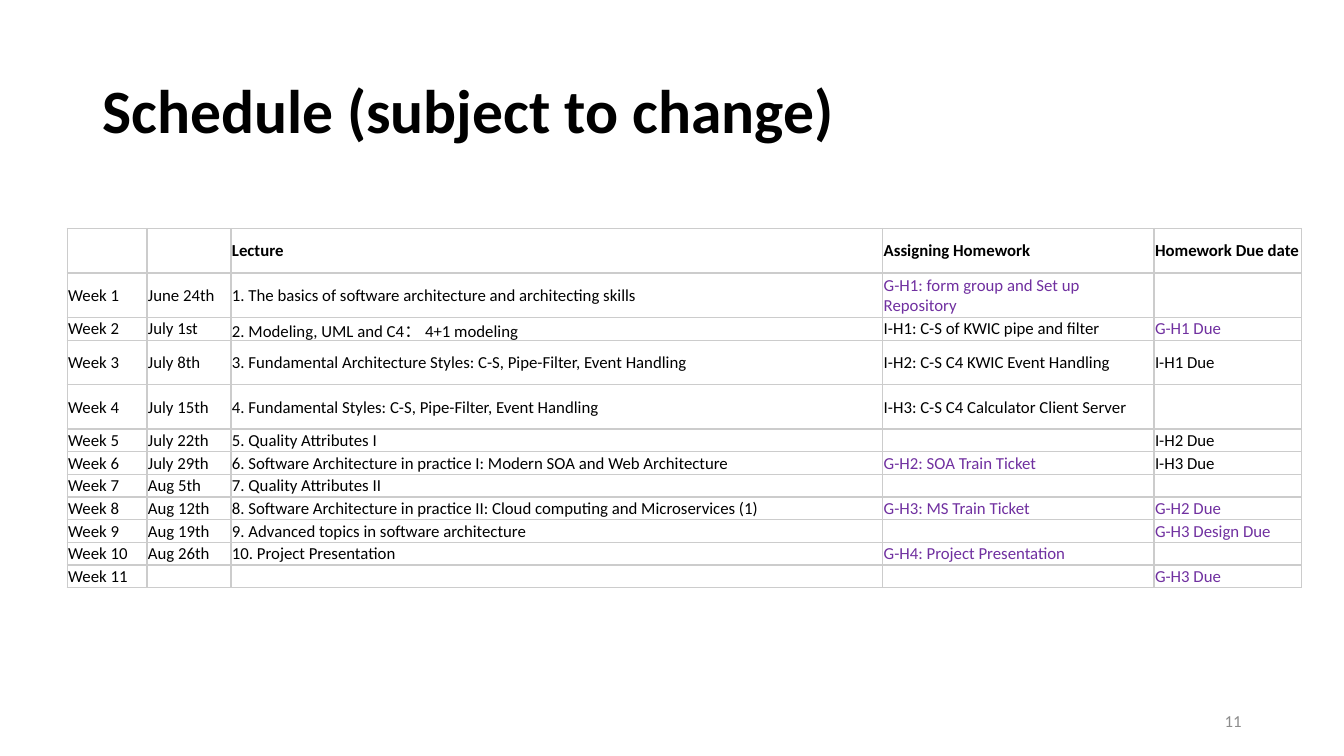
from lxml import etree
from pptx import Presentation
from pptx import util as u
from pptx.dml.color import RGBColor
from pptx.enum import text
from pptx.oxml import ns

BLACK = RGBColor(0x00, 0x00, 0x00)
PURPLE = RGBColor(0x70, 0x30, 0xA0)
GREY = RGBColor(0x8C, 0x8C, 0x8C)
BORDER = RGBColor(0xCC, 0xCC, 0xCC)
FONT = "Calibri"
BODY_SIZE = 12
WIDTH, HEIGHT = u.Inches(13.333), u.Inches(7.5)
COLUMNS, ROWS = 160, 90
SCHEDULE_COLUMNS = (9.5, 10, 77.6, 32.3, 17.6)
SHORT_ROW, TALL_ROW = 2.7, 5.3
TALL_ROWS = {0, 1, 3, 4}
HEADINGS = ("", "", "Lecture", "Assigning Homework", "Homework Due date")
WEEKS = (
    ("June 24th", "The basics of software architecture and architecting skills",
     "G-H1: form group and Set up Repository", ""),
    ("July 1st", "Modeling, UML and C4： 4+1 modeling",
     "I-H1: C-S of KWIC pipe and filter", "G-H1 Due"),
    ("July 8th", "Fundamental Architecture Styles: C-S, Pipe-Filter, Event Handling",
     "I-H2: C-S C4 KWIC Event Handling", "I-H1 Due"),
    ("July 15th", "Fundamental Styles: C-S, Pipe-Filter, Event Handling",
     "I-H3: C-S C4 Calculator Client Server", ""),
    ("July 22th", "Quality Attributes I", "", "I-H2 Due"),
    ("July 29th", "Software Architecture in practice I: Modern SOA and Web Architecture",
     "G-H2: SOA Train Ticket", "I-H3 Due"),
    ("Aug 5th", "Quality Attributes II", "", ""),
    ("Aug 12th", "Software Architecture in practice II: Cloud computing and Microservices (1)",
     "G-H3: MS Train Ticket", "G-H2 Due"),
    ("Aug 19th", "Advanced topics in software architecture", "", "G-H3 Design Due"),
    ("Aug 26th", "Project Presentation", "G-H4: Project Presentation", ""),
    ("", "", "", "G-H3 Due"),
)


def across(columns):
    """Return the width of a number of grid columns."""
    return u.Emu(round(WIDTH * columns / COLUMNS))


def down(rows):
    """Return the height of a number of grid rows."""
    return u.Emu(round(HEIGHT * rows / ROWS))


def write(frame, words, size=BODY_SIZE, color=BLACK, bold=False,
          align=text.PP_ALIGN.LEFT, spacing=1.0):
    """Write one formatted paragraph into a text frame."""
    paragraph = frame.paragraphs[0]
    paragraph.alignment = align
    paragraph.line_spacing = spacing
    if words:
        run = paragraph.add_run()
        run.text = words
        run.font.name = FONT
        run.font.size = u.Pt(size)
        run.font.bold = bold
        run.font.color.rgb = color
    else:
        etree.SubElement(paragraph._p, ns.qn("a:endParaRPr"), sz=str(size * 100))


def add_label(slide, left, top, width, height, words, **style):
    """Add a vertically centred text box placed on the grid."""
    box = slide.shapes.add_textbox(across(left), down(top), across(width), down(height))
    frame = box.text_frame
    frame.word_wrap = True
    frame.vertical_anchor = text.MSO_ANCHOR.MIDDLE
    write(frame, words, **style)


def add_borders(cell):
    """Draw a thin line on each side of a cell."""
    properties = cell._tc.get_or_add_tcPr()
    for index, side in enumerate(("lnL", "lnR", "lnT", "lnB")):
        line = etree.Element(ns.qn(f"a:{side}"), w=str(u.Pt(1)))
        fill = etree.SubElement(line, ns.qn("a:solidFill"))
        etree.SubElement(fill, ns.qn("a:srgbClr"), val=str(BORDER))
        properties.insert(index, line)


def fill_cell(cell, words, bold):
    """Format a schedule cell, with group homework in purple."""
    cell.margin_left = cell.margin_right = cell.margin_top = u.Inches(0.01)
    cell.margin_bottom = 0
    cell.vertical_anchor = text.MSO_ANCHOR.MIDDLE
    cell.fill.background()
    add_borders(cell)
    color = PURPLE if words.startswith("G-") else BLACK
    write(cell.text_frame, words, color=color, bold=bold)


def schedule_rows():
    """Return the headings followed by the numbered weeks."""
    rows = [HEADINGS]
    for number, (date, lecture, homework, due) in enumerate(WEEKS, 1):
        topic = f"{number}. {lecture}" if lecture else ""
        rows.append((f"Week {number}", date, topic, homework, due))
    return rows


def add_schedule(slide, left, top):
    """Add the schedule table at a grid position."""
    rows = schedule_rows()
    heights = [TALL_ROW if index in TALL_ROWS else SHORT_ROW for index in range(len(rows))]
    table = slide.shapes.add_table(
        len(rows), len(HEADINGS), across(left), down(top),
        across(sum(SCHEDULE_COLUMNS)), down(sum(heights))).table
    table.first_row = table.horz_banding = False
    for column, width in zip(table.columns, SCHEDULE_COLUMNS):
        column.width = across(width)
    for index, (row, height, entries) in enumerate(zip(table.rows, heights, rows)):
        row.height = down(height)
        for cell, words in zip(row.cells, entries):
            fill_cell(cell, words, bold=index == 0)


def main():
    """Build and save the schedule slide."""
    presentation = Presentation()
    presentation.slide_width, presentation.slide_height = WIDTH, HEIGHT
    slide = presentation.slides.add_slide(presentation.slide_layouts[6])
    add_label(slide, 11, 4.8, 138, 17.4, "Schedule (subject to change)",
              size=44, bold=True, spacing=0.9)
    add_schedule(slide, 8, 27.2)
    add_label(slide, 113, 83.4, 36, 4.8, "11", color=GREY, align=text.PP_ALIGN.RIGHT)
    presentation.save("out.pptx")


if __name__ == "__main__":
    main()
